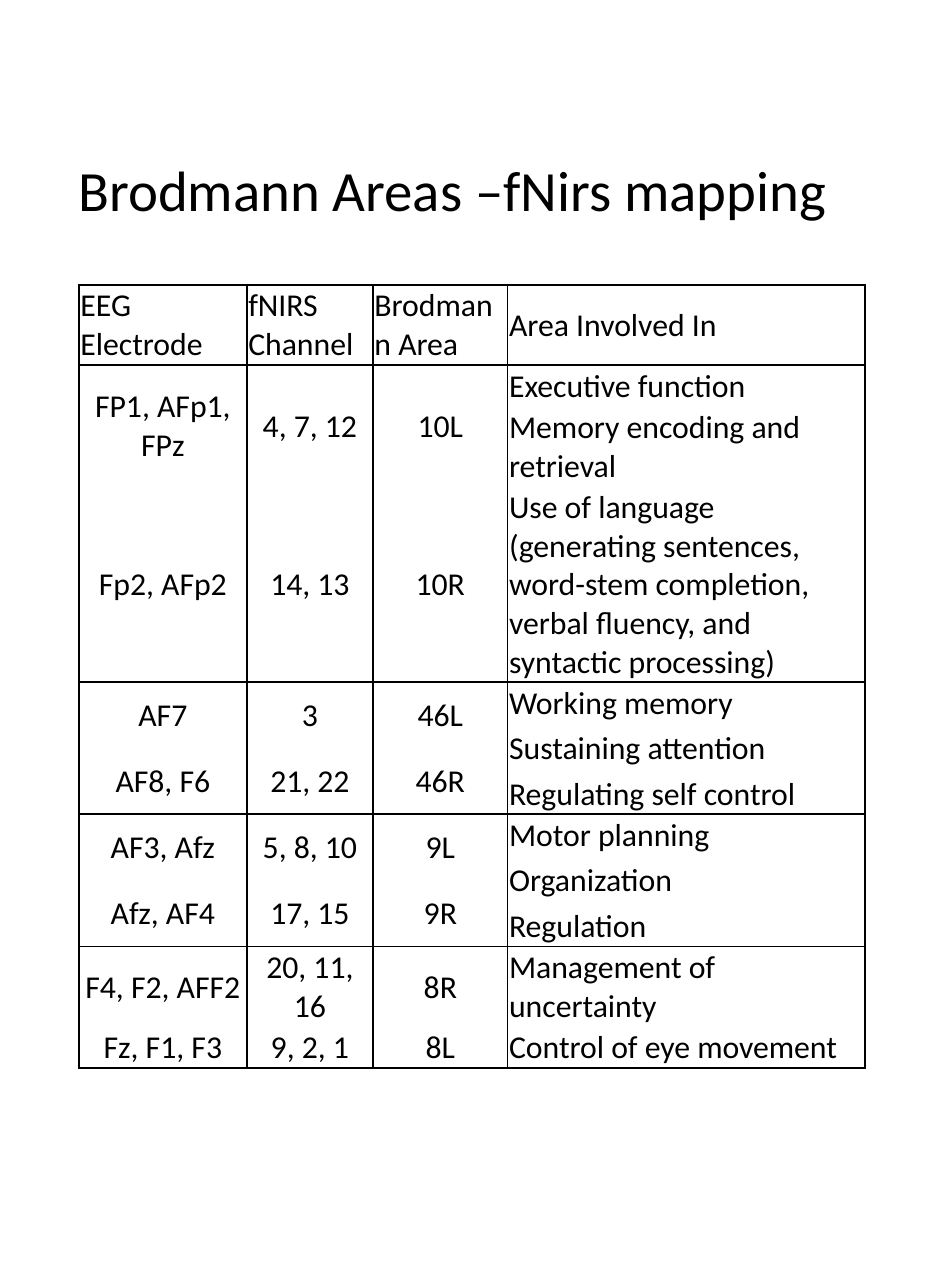
"""Build the Brodmann area to fNIRS channel mapping slide."""
from lxml import etree
from pptx import Presentation
from pptx.dml.color import RGBColor
from pptx.enum import text
from pptx.oxml import ns
from pptx.util import Pt

BLACK = RGBColor(0, 0, 0)
COLUMN_WIDTHS = [84.5, 63.5, 67.75, 180]
GROUP_HEIGHTS = [21, 12.25, 12.25, 21]
ROW_HEIGHTS = [40.25, 21, 40.25, 98, *GROUP_HEIGHTS, *GROUP_HEIGHTS, 40.25, 21]
GROUP_ENDS = {0, 3, 7, 11, 13}
MERGED = None
ROWS = [
    ["EEG Electrode", "fNIRS Channel", "Brodmann Area", "Area Involved In"],
    ["FP1, AFp1, FPz", "4, 7, 12", "10L", "Executive function"],
    [MERGED, MERGED, MERGED, "Memory encoding and retrieval"],
    ["Fp2, AFp2", "14, 13", "10R",
     "Use of language (generating sentences, word-stem completion, "
     "verbal fluency, and syntactic processing)"],
    ["AF7", "3", "46L", "Working memory"],
    [MERGED, MERGED, MERGED, "Sustaining attention"],
    ["AF8, F6", "21, 22", "46R", MERGED],
    [MERGED, MERGED, MERGED, "Regulating self control"],
    ["AF3, Afz", "5, 8, 10", "9L", "Motor planning"],
    [MERGED, MERGED, MERGED, "Organization"],
    ["Afz, AF4", "17, 15", "9R", MERGED],
    [MERGED, MERGED, MERGED, "Regulation"],
    ["F4, F2, AFF2", "20, 11, 16", "8R", "Management of uncertainty"],
    ["Fz, F1, F3", "9, 2, 1", "8L", "Control of eye movement"],
]


class SlideBuilder:
    def __init__(self, page, font="Calibri", color=BLACK):
        self.page, self.font, self.color = page, font, color

    def style(self, font, size):
        font.name, font.size, font.bold = self.font, Pt(size), False
        font.color.rgb = self.color

    def title(self, words, left, top, width, height, size):
        box = self.page.shapes.title
        box.left, box.top = Pt(left), Pt(top)
        box.width, box.height = Pt(width), Pt(height)
        frame = box.text_frame
        frame.text = words
        frame.word_wrap = True
        frame.auto_size = text.MSO_AUTO_SIZE.NONE
        frame.vertical_anchor = text.MSO_ANCHOR.MIDDLE
        para = frame.paragraphs[0]
        para.alignment = text.PP_ALIGN.LEFT
        para.line_spacing = 0.9
        self.style(para.runs[0].font, size)

    def border(self, cell, side, visible):
        properties = cell._tc.get_or_add_tcPr()
        line = etree.SubElement(properties, ns.qn(f"a:ln{side}"), w=str(Pt(1)))
        if visible:
            fill = etree.SubElement(line, ns.qn("a:solidFill"))
            etree.SubElement(fill, ns.qn("a:srgbClr"), val=str(self.color))
        else:
            etree.SubElement(line, ns.qn("a:noFill"))

    def cell(self, cell, words, row, column, size):
        cell.margin_left = cell.margin_right = cell.margin_top = Pt(0.75)
        cell.margin_bottom = 0
        cell.vertical_anchor = text.MSO_ANCHOR.MIDDLE
        last_row = row + cell.span_height - 1 if cell.is_merge_origin else row
        edges = {"L": True, "R": True, "T": row == 0 or row - 1 in GROUP_ENDS,
                 "B": last_row in GROUP_ENDS}
        for side, visible in edges.items():
            self.border(cell, side, visible)
        cell.fill.background()
        para = cell.text_frame.paragraphs[0]
        para.text = words or ""
        centred = row > 0 and column < 3
        para.alignment = text.PP_ALIGN.CENTER if centred else text.PP_ALIGN.LEFT
        self.style(para.font, size)
        for span in para.runs:
            self.style(span.font, size)

    def table(self, rows, left, top, widths, heights, size):
        frame = self.page.shapes.add_table(
            len(rows), len(widths), Pt(left), Pt(top), Pt(sum(widths)), Pt(sum(heights)))
        table = frame.table
        table.first_row = table.horz_banding = False
        for column, width in zip(table.columns, widths):
            column.width = Pt(width)
        for line, height in zip(table.rows, heights):
            line.height = Pt(height)
        for row, line in enumerate(rows):
            for column, words in enumerate(line):
                if words is MERGED:
                    table.cell(row - 1, column).merge(table.cell(row, column))
        for row, line in enumerate(rows):
            for column, words in enumerate(line):
                self.cell(table.cell(row, column), words, row, column, size)


def main():
    deck = Presentation()
    deck.slide_width, deck.slide_height = Pt(468), Pt(648)
    builder = SlideBuilder(deck.slides.add_slide(deck.slide_layouts[5]))
    builder.title("Brodmann Areas –fNirs mapping", 32.25, 34.5, 404, 125, 28.6)
    builder.table(ROWS, 39.75, 143.25, COLUMN_WIDTHS, ROW_HEIGHTS, 16)
    deck.save("out.pptx")


if __name__ == "__main__":
    main()
